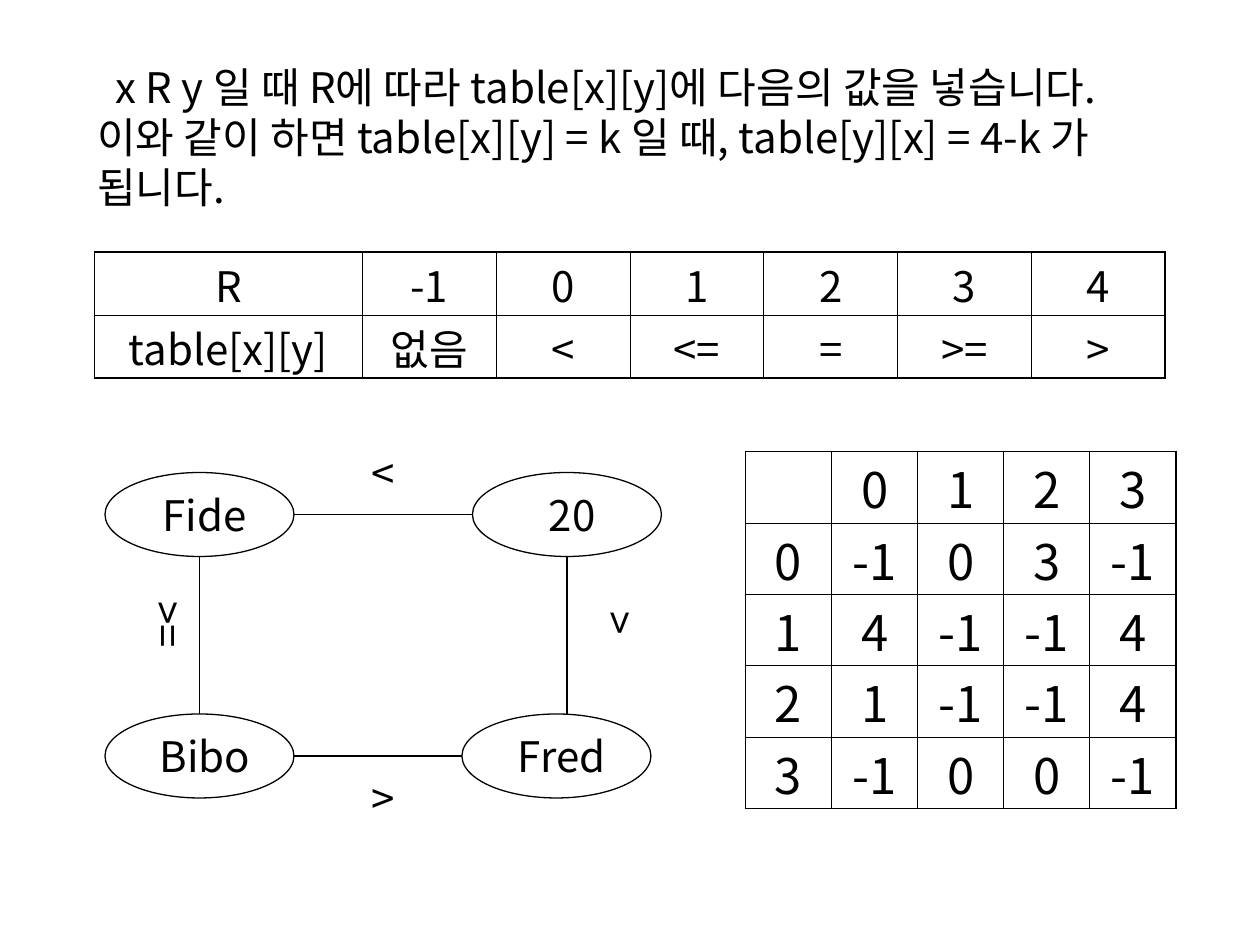
from lxml.etree import SubElement
from pptx import Presentation
from pptx.dml.color import RGBColor
from pptx.enum.shapes import MSO_CONNECTOR, MSO_SHAPE
from pptx.enum.text import MSO_ANCHOR, PP_ALIGN
from pptx.oxml.ns import qn
from pptx.util import Pt

PX = 9525  # EMU, 96 px to the inch
BLACK = RGBColor(0x00, 0x00, 0x00)
FONT = "Noto Sans CJK KR"
LINE_HEIGHT = 1.19
NODE_W, NODE_H = 144, 64

FRAME = {"word_wrap": True, "margin_left": 10 * PX, "margin_right": 10 * PX,
         "margin_top": 5 * PX, "margin_bottom": 5 * PX}
VERTICAL_FRAME = {"word_wrap": True, "margin_left": 5 * PX, "margin_right": 5 * PX,
                  "margin_top": 10 * PX, "margin_bottom": 10 * PX}
CELL = {"vertical_anchor": MSO_ANCHOR.BOTTOM, "margin_left": 10 * PX,
        "margin_right": 10 * PX, "margin_top": 5 * PX, "margin_bottom": 0}

RULE = ("  x R y 일 때 R에 따라 table[x][y]에 다음의 값을 넣습니다. 이와 같이 하면 "
        "table[x][y] = k 일 때, table[y][x] = 4-k 가 됩니다.").strip()
CODES = [["R", "-1", "0", "1", "2", "3", "4"],
         ["table[x][y]", "없음", "<", "<=", "=", ">=", ">"]]
MATRIX = [["", "0", "1", "2", "3"],
          ["0", "-1", "0", "3", "-1"],
          ["1", "4", "-1", "-1", "4"],
          ["2", "1", "-1", "-1", "4"],
          ["3", "-1", "0", "0", "-1"]]
NODES = [("Fide", 0, 24), ("20", 280, 24), ("Bibo", 0, 208), ("Fred", 272, 208)]
EDGES = [(144, 56, 280, 56), (72, 88, 72, 208),
         (144, 240, 272, 240), (352, 88, 352, 208)]
RELATIONS = [("<", (176, 0, 72, 48), False), (">=", (15, 112, 58, 64), True),
             (">", (184, 248, 56, 48), False), (">", (359, 120, 58, 64), True)]


def emu(*lengths):
    return [round(length * PX) for length in lengths]


def apply(target, values):
    for name, value in values.items():
        setattr(target, name, value)


def write(frame, text, size=24, align=PP_ALIGN.CENTER):
    paragraph = frame.paragraphs[0]
    apply(paragraph, {"alignment": align, "line_spacing": Pt(size * LINE_HEIGHT)})
    run = paragraph.add_run()
    run.text = text
    apply(run.font, {"size": Pt(size), "name": FONT})
    run.font.color.rgb = BLACK
    SubElement(run._r.get_or_add_rPr(), qn("a:ea"), typeface=FONT)
    return paragraph


def add_label(shapes, text, box, vertical=False):
    frame = shapes.add_textbox(*emu(*box)).text_frame
    apply(frame, VERTICAL_FRAME if vertical else FRAME)
    if vertical:
        frame._txBody.bodyPr.set("vert", "eaVert")
    write(frame, text)


def add_rule(slide, box):
    frame = slide.shapes.add_textbox(*emu(*box)).text_frame
    apply(frame, {**FRAME, "vertical_anchor": MSO_ANCHOR.MIDDLE})
    paragraph = write(frame, RULE, align=PP_ALIGN.LEFT)
    paragraph._p.get_or_add_pPr().set("indent", str(14 * PX))


def outline(line):
    line.color.rgb = BLACK
    line.width = Pt(0.75)


def add_graph(slide, left, top):
    """Draws the four nodes, their edges and the relation on each edge."""
    shapes = slide.shapes.add_group_shape().shapes
    for name, x, y in NODES:
        node = shapes.add_shape(MSO_SHAPE.OVAL, *emu(left + x, top + y, NODE_W, NODE_H))
        node.shadow.inherit = False
        node.fill.background()
        outline(node.line)
        add_label(shapes, name, (left + x + 24, top + y + 8, 104, 48))
    for x1, y1, x2, y2 in EDGES:
        edge = shapes.add_connector(
            MSO_CONNECTOR.STRAIGHT, *emu(left + x1, top + y1, left + x2, top + y2))
        outline(edge.line)
        SubElement(edge._element.spPr, qn("a:effectLst"))
    for text, (x, y, width, height), vertical in RELATIONS:
        add_label(shapes, text, (left + x, top + y, width, height), vertical)


def add_borders(cell, outer_sides):
    """Gives the sides on the table's edge a heavier line than the others."""
    properties = cell._tc.get_or_add_tcPr()
    for position, side in enumerate("LRTB"):
        width = Pt(1.08 if outer_sides[side] else 0.45)
        border = properties.makeelement(qn(f"a:ln{side}"), {"w": str(width)})
        fill = SubElement(border, qn("a:solidFill"))
        SubElement(fill, qn("a:srgbClr"), val=str(BLACK))
        properties.insert(position, border)


def add_grid(slide, box, rows, size, shares):
    """Fills a ruled table whose column widths follow the given shares."""
    width, height = box[2:]
    row_count, column_count = len(rows), len(shares)
    table = slide.shapes.add_table(row_count, column_count, *emu(*box)).table
    apply(table, {"first_row": False, "horz_banding": False})
    for column, share in zip(table.columns, shares):
        column.width = emu(width * share / sum(shares))[0]
    for r, texts in enumerate(rows):
        table.rows[r].height = emu(height / row_count)[0]
        for c, text in enumerate(texts):
            cell = table.cell(r, c)
            apply(cell, CELL)
            cell.fill.background()
            add_borders(cell, {"L": c == 0, "R": c == column_count - 1,
                               "T": r == 0, "B": r == row_count - 1})
            if text:
                write(cell.text_frame, text, size)


def main():
    presentation = Presentation()
    apply(presentation, dict(zip(("slide_width", "slide_height"), emu(960, 720))))
    slide = presentation.slides.add_slide(presentation.slide_layouts[6])
    add_rule(slide, (64, 56, 824, 96))
    add_graph(slide, 80, 336)
    add_grid(slide, (72, 192, 816, 96), CODES, 24, [2] + [1] * 6)
    add_grid(slide, (568, 344, 328, 272), MATRIX, 28, [1] * 5)
    presentation.save("out.pptx")


if __name__ == "__main__":
    main()
